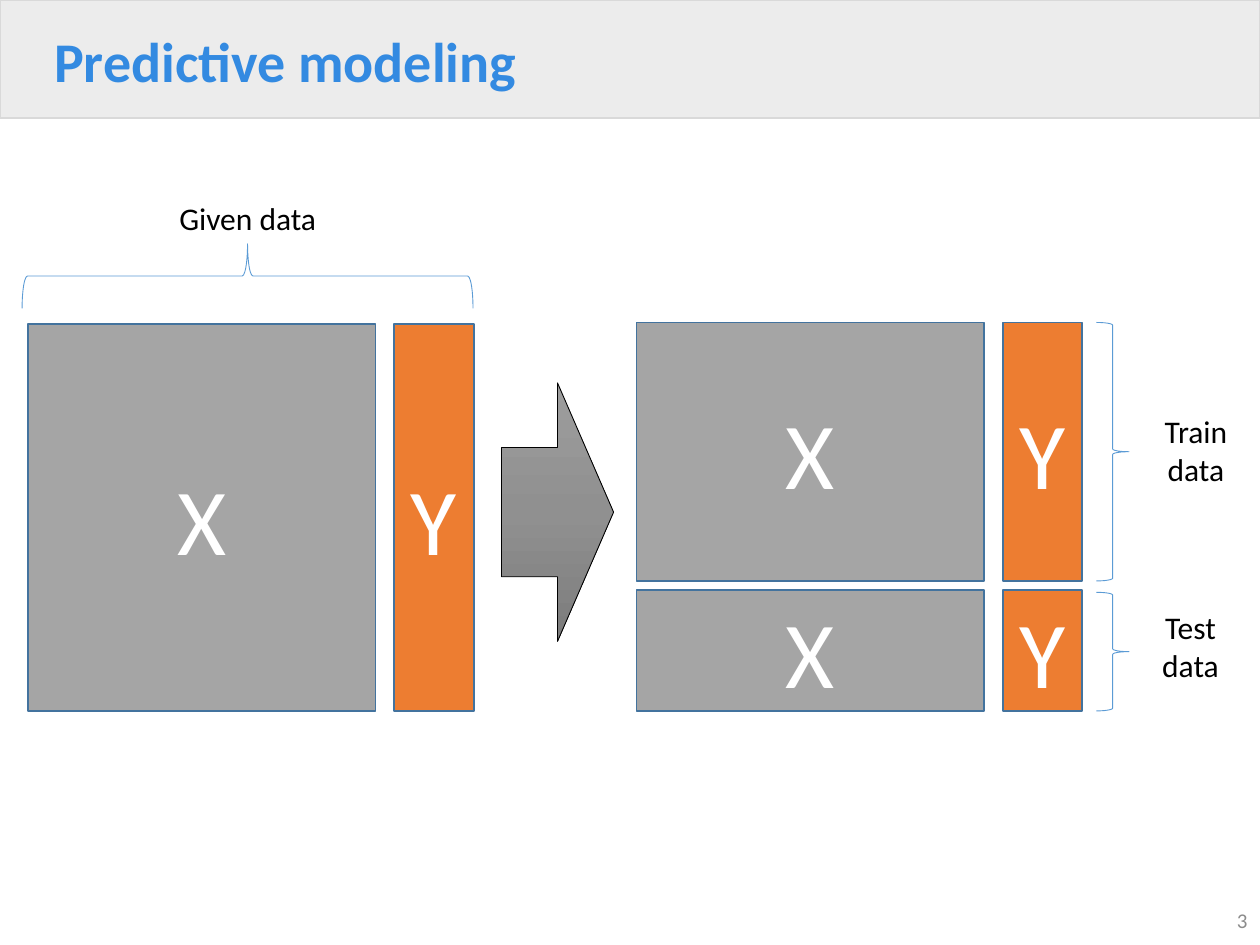
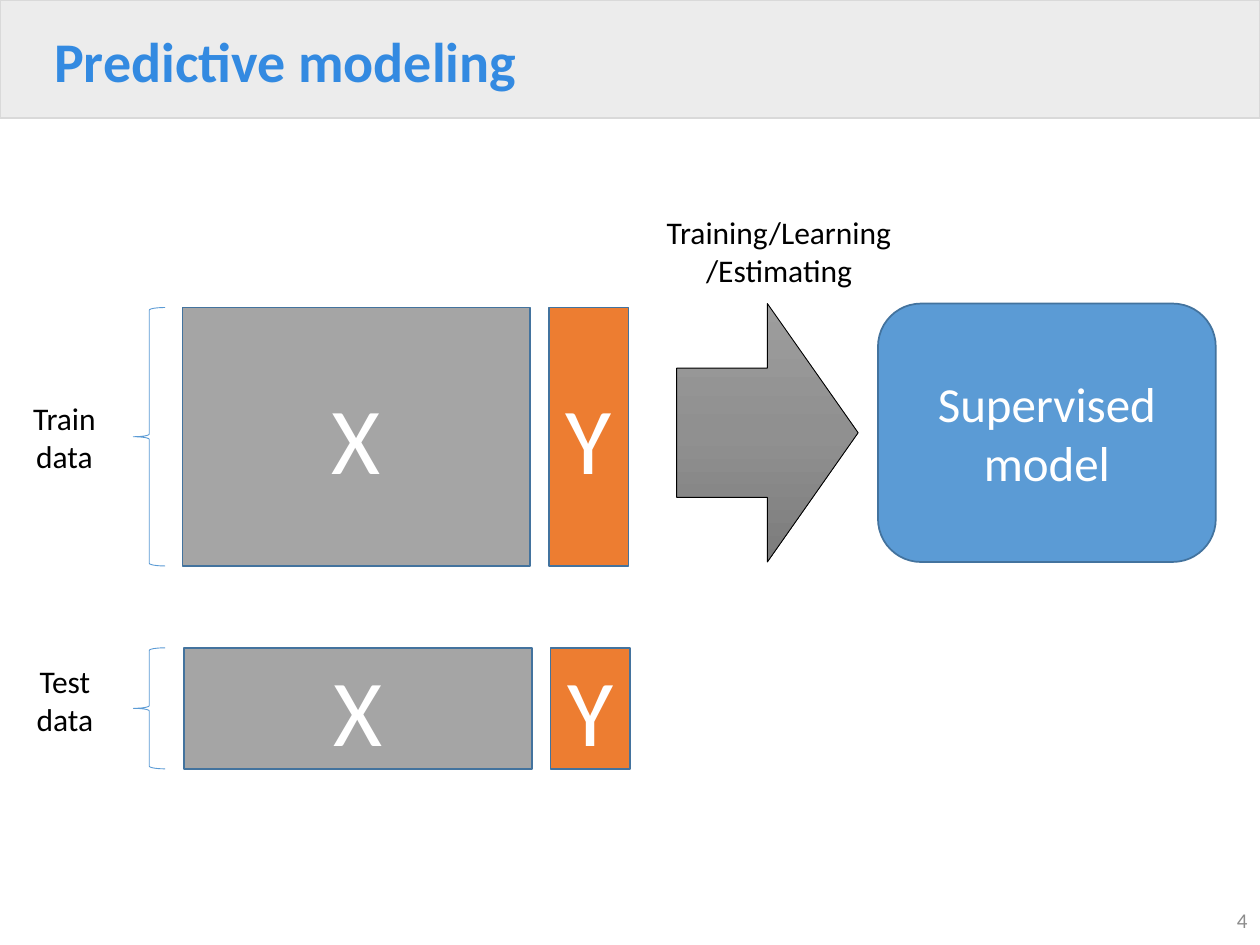
from dataclasses import dataclass
from copy import deepcopy

from pptx import Presentation
from pptx.dml.color import RGBColor
from pptx.enum.shapes import MSO_SHAPE
from pptx.enum.text import MSO_ANCHOR, MSO_AUTO_SIZE, PP_ALIGN
from pptx.oxml.ns import qn
from pptx.shapes.autoshape import Shape
from pptx.slide import Slide
from pptx.util import Cm, Pt

# Shared look
FONT = "Calibri"
WHITE, BLACK = "FFFFFF", "000000"
BAND_FILL, BAND_LINE = "ECECEC", "D9D9D9"
TITLE_COLOUR, NUMBER_COLOUR = "338AE1", "8C8C8C"
GREY, ORANGE, BLUE, EDGE = "A5A5A5", "ED7D31", "5B9BD5", "43739E"
ARROW_STOPS = ((0, "9D9D9D"), (0.5, "909090"), (1, "7C7C7C"))

# Shared measures in centimetres
PAGE_WIDTH, PAGE_HEIGHT = 25.4, 19.05
X_WIDTH, Y_WIDTH, COLUMN_GAP = 7.01, 1.6, 0.38
TRAIN_HEIGHT, TEST_HEIGHT = 5.21, 2.44


@dataclass(frozen=True)
class Area:
    left: float
    top: float
    width: float
    height: float

    def lengths(self) -> tuple[Cm, Cm, Cm, Cm]:
        return Cm(self.left), Cm(self.top), Cm(self.width), Cm(self.height)


@dataclass(frozen=True)
class DataSet:
    """An X block with its Y column to the right."""
    left: float
    top: float
    height: float


@dataclass(frozen=True)
class Brace:
    area: Area
    rotation: int = 0


@dataclass(frozen=True)
class Label:
    """Each item of paragraphs is one paragraph; a newline breaks a line."""
    area: Area
    paragraphs: tuple[str, ...]


def colour(value: str) -> RGBColor:
    return RGBColor.from_string(value)


def write(box: Shape, paragraphs: tuple[str, ...], size: float, ink: str,
          align: PP_ALIGN = PP_ALIGN.CENTER, bold: bool = False,
          anchor: MSO_ANCHOR = MSO_ANCHOR.MIDDLE) -> None:
    frame = box.text_frame
    frame.word_wrap = True
    frame.vertical_anchor = anchor
    for index, text in enumerate(paragraphs):
        para = frame.add_paragraph() if index else frame.paragraphs[0]
        para.text = text.replace("\n", "\v")
        para.alignment = align
        para.font.name = FONT
        para.font.size = Pt(size)
        para.font.bold = bold
        para.font.color.rgb = colour(ink)


def add_box(page: Slide, kind: MSO_SHAPE, area: Area, fill: str | None,
            line: str, weight: float) -> Shape:
    box = page.shapes.add_shape(kind, *area.lengths())
    box.shadow.inherit = False
    if fill is None:
        box.fill.background()
    else:
        box.fill.solid()
        box.fill.fore_color.rgb = colour(fill)
    box.line.color.rgb = colour(line)
    box.line.width = Pt(weight)
    return box


def add_data_set(page: Slide, data: DataSet) -> None:
    y_left = data.left + X_WIDTH + COLUMN_GAP
    for name, left, width, fill in (("X", data.left, X_WIDTH, GREY),
                                    ("Y", y_left, Y_WIDTH, ORANGE)):
        area = Area(left, data.top, width, data.height)
        box = add_box(page, MSO_SHAPE.RECTANGLE, area, fill, EDGE, 1)
        write(box, (name,), 54, WHITE)


def add_brace(page: Slide, brace: Brace) -> None:
    shape = add_box(page, MSO_SHAPE.LEFT_BRACE, brace.area, None, BLUE, 0.5)
    shape.rotation = brace.rotation


def add_arrow(page: Slide, area: Area) -> None:
    arrow = add_box(page, MSO_SHAPE.RIGHT_ARROW, area, GREY, BLACK, 0.5)
    arrow.fill.gradient()
    arrow.fill.gradient_angle = 270
    # A new gradient has two stops: add the third
    stop_list = arrow.element.spPr.find(".//" + qn("a:gsLst"))
    stop_list.append(deepcopy(stop_list[0]))
    for stop, (position, value) in zip(arrow.fill.gradient_stops, ARROW_STOPS):
        stop.position = position
        stop.color.rgb = colour(value)


def add_label(page: Slide, label: Label) -> None:
    box = page.shapes.add_textbox(*label.area.lengths())
    write(box, label.paragraphs, 18, BLACK, anchor=MSO_ANCHOR.TOP)
    box.text_frame.word_wrap = False
    box.text_frame.auto_size = MSO_AUTO_SIZE.SHAPE_TO_FIT_TEXT


def add_page(title: str, number: int) -> Slide:
    """Add a page with the title band and the page number."""
    page = deck.slides.add_slide(deck.slide_layouts[6])
    add_box(page, MSO_SHAPE.RECTANGLE, Area(0, 0, PAGE_WIDTH, 2.38),
            BAND_FILL, BAND_LINE, 0.75)
    title_box = page.shapes.add_textbox(*Area(0.84, 0.23, 23.82, 2.13).lengths())
    write(title_box, (title,), 32, TITLE_COLOUR, PP_ALIGN.LEFT, bold=True)
    title_box.text_frame.paragraphs[0].line_spacing = 0.9
    number_box = page.shapes.add_textbox(*Area(19.68, 18.03, 5.72, 1.02).lengths())
    write(number_box, (str(number),), 12, NUMBER_COLOUR, PP_ALIGN.RIGHT)
    return page


def add_diagram(page: Slide, data_sets: list[DataSet], braces: list[Brace],
                arrow: Area, labels: list[Label]) -> None:
    for data in data_sets:
        add_data_set(page, data)
    for brace in braces:
        add_brace(page, brace)
    add_arrow(page, arrow)
    for label in labels:
        add_label(page, label)


deck = Presentation()
deck.slide_width, deck.slide_height = Cm(PAGE_WIDTH), Cm(PAGE_HEIGHT)
TITLE = "Predictive modeling"
TRAIN, TEST = ("Train\ndata",), ("Test", "data")

# Page 3: the given data is split into train and test data
add_diagram(
    add_page(TITLE, 3),
    data_sets=[DataSet(0.56, 6.53, 7.8),
               DataSet(12.83, 6.5, TRAIN_HEIGHT),
               DataSet(12.83, 11.89, TEST_HEIGHT)],
    braces=[Brace(Area(4.34, 1.02, 1.3, 9.09), 90),
            Brace(Area(22.1, 6.5, 0.66, TRAIN_HEIGHT), 180),
            Brace(Area(22.1, 11.94, 0.66, 2.39), 180)],
    arrow=Area(10.11, 7.72, 2.26, 5.21),
    labels=[Label(Area(3.18, 3.89, 3.63, 1.02), ("Given data",)),
            Label(Area(23.22, 8.18, 1.78, 1.8), TRAIN),
            Label(Area(23.16, 12.14, 1.68, 1.8), TEST)],
)

# Page 4: the train data yields a supervised model
model_page = add_page(TITLE, 4)
add_diagram(
    model_page,
    data_sets=[DataSet(3.68, 6.2, TRAIN_HEIGHT),
               DataSet(3.71, 13.06, TEST_HEIGHT)],
    braces=[Brace(Area(2.69, 6.2, 0.64, TRAIN_HEIGHT)),
            Brace(Area(2.69, 13.06, 0.64, TEST_HEIGHT))],
    arrow=Area(13.64, 6.12, 3.66, 5.21),
    labels=[Label(Area(12.9, 4.17, 5.61, 1.8), ("Training/Learning\n/Estimating",)),
            Label(Area(0.41, 7.92, 1.78, 1.8), TRAIN),
            Label(Area(0.41, 13.23, 1.8, 1.8), TEST)],
)
model_box = add_box(model_page, MSO_SHAPE.ROUNDED_RECTANGLE,
                    Area(17.7, 6.12, 6.81, 5.21), BLUE, EDGE, 1)
write(model_box, ("Supervised\nmodel",), 28, WHITE)

deck.save("out.pptx")
